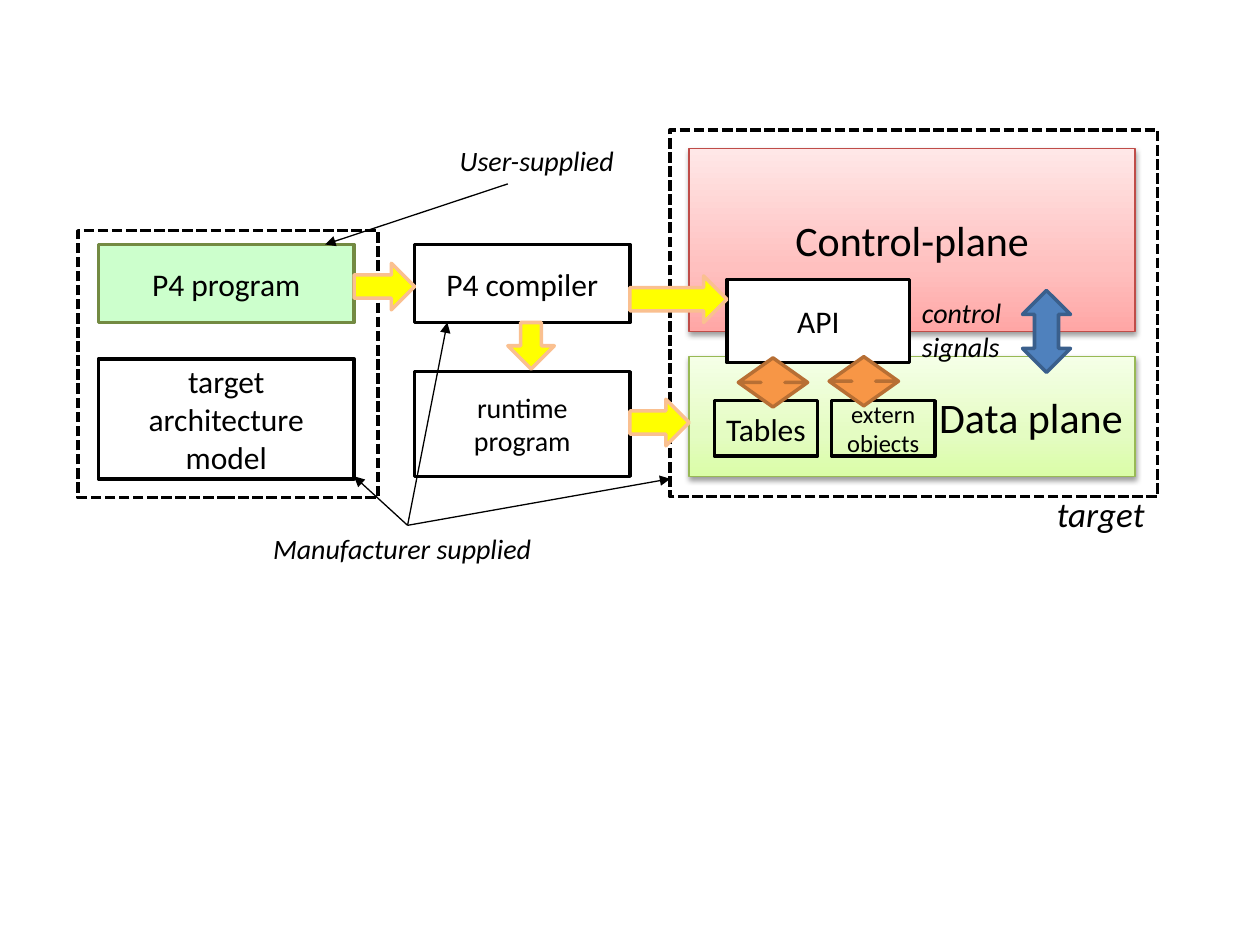
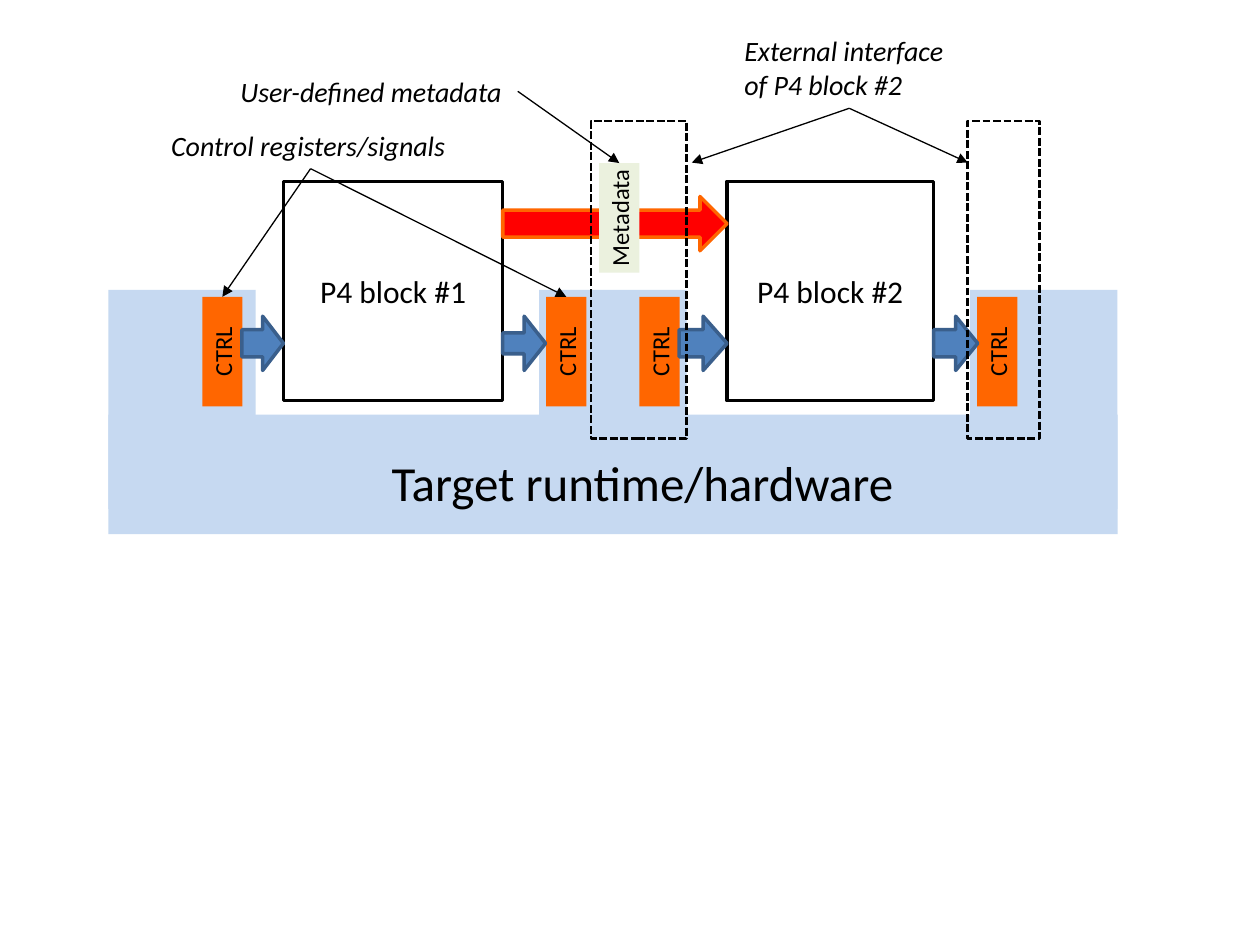
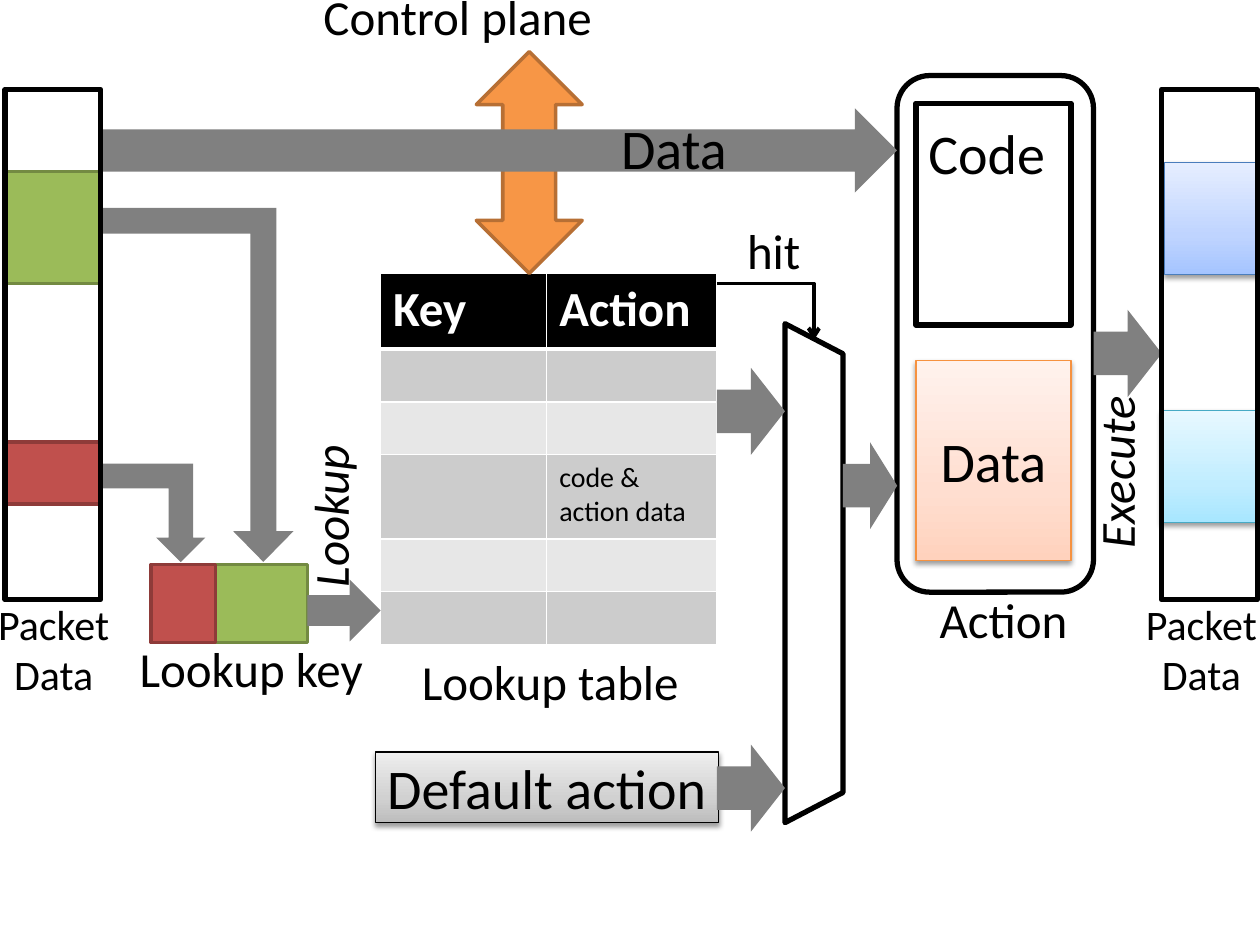
from lxml import etree
from pptx import Presentation
from pptx.dml.color import RGBColor
from pptx.enum.dml import MSO_LINE
from pptx.enum.shapes import MSO_CONNECTOR, MSO_SHAPE
from pptx.enum.text import MSO_ANCHOR, MSO_AUTO_SIZE, PP_ALIGN
from pptx.oxml.ns import qn
from pptx.util import Pt

RECT = MSO_SHAPE.RECTANGLE
ROUND = MSO_SHAPE.ROUNDED_RECTANGLE
TRAPEZOID = MSO_SHAPE.TRAPEZOID
RIGHT = MSO_SHAPE.RIGHT_ARROW
DOWN = MSO_SHAPE.DOWN_ARROW
UP_DOWN = MSO_SHAPE.UP_DOWN_ARROW
BENT_UP = MSO_SHAPE.BENT_UP_ARROW
STRAIGHT, ELBOW = MSO_CONNECTOR.STRAIGHT, MSO_CONNECTOR.ELBOW
DASH = MSO_LINE.SQUARE_DOT
LEFT, CENTER, FLUSH_RIGHT = PP_ALIGN.LEFT, PP_ALIGN.CENTER, PP_ALIGN.RIGHT
TOP, MIDDLE = MSO_ANCHOR.TOP, MSO_ANCHOR.MIDDLE
GROW = MSO_AUTO_SIZE.SHAPE_TO_FIT_TEXT

FONT = "Calibri"
BLACK, WHITE, GRAY = "000000", "FFFFFF", "808080"
BLUE, BLUE_EDGE = "4F81BD", "3A5F8C"
ORANGE, ORANGE_EDGE = "F79646", "B76F34"
GRADIENT_STOPS = (0, 35, 100)

STYLES = {
    "block": dict(line=BLACK),
    "user block": dict(fill="CCFFCC", line="738A42"),
    "opaque": dict(fill=WHITE, line=BLACK),
    "dashed": dict(line=BLACK, dash=DASH),
    "thin dashed": dict(line=BLACK, dash=DASH, width=1.5),
    "frame": dict(line=BLACK, width=3),
    "round frame": dict(geometry=ROUND, line=BLACK, width=3),
    "selector": dict(geometry=TRAPEZOID, line=BLACK, width=3, turn=90, adjust=(0.52,)),
    "label": dict(label=True),
    "remark": dict(label=True, italic=True, size=16),
    "title": dict(label=True, size=28),
    "sideways": dict(label=True, size=28, italic=True, turn=270),
    "yellow right": dict(geometry=RIGHT, fill="FFFF00", line="FAC090"),
    "yellow down": dict(geometry=DOWN, fill="FFFF00", line="FAC090", adjust=(0.447, 0.5)),
    "blue right": dict(geometry=RIGHT, fill=BLUE, line=BLUE_EDGE),
    "blue both": dict(geometry=UP_DOWN, fill=BLUE, line=BLUE_EDGE),
    "orange both": dict(geometry=UP_DOWN, fill=ORANGE, line=ORANGE_EDGE),
    "red right": dict(geometry=RIGHT, fill="FF0000", line="FF6600"),
    "gray right": dict(geometry=RIGHT, fill=GRAY),
    "gray bent": dict(geometry=BENT_UP, fill=GRAY, flip=True),
    "runtime": dict(fill="C6D9F1"),
    "control": dict(fill="FF6600", size=14, turn=270),
    "metadata": dict(fill="EBF1DE", size=14, turn=270, wrap=False),
    "green field": dict(fill="9BBB59", line="738A42"),
    "red field": dict(fill="C0504D", line="8E3B39"),
    "red plane": dict(gradient=("FFA6A5", "FFC0BF", "FFE7E7"), line="BF4C48"),
    "green plane": dict(gradient=("DAFDA7", "E4FCC2", "F5FFE7"), line="98B955"),
    "orange data": dict(gradient=("FFD2BD", "FFDED0", "FFF2ED"), line="F69240"),
    "blue field": dict(gradient=("A4C4FF", "BFD4FF", "E6EEFF"), line="4B7EBC"),
    "cyan field": dict(gradient=("A7E6FF", "C1EDFF", "E7F8FF"), line="46AAC5"),
    "gray action": dict(gradient=("BDBDBD", "D1D1D1", "EEEEEE"), line=BLACK),
}

COMPILE_PARTS = [
    ("user block", (56.2, 139.7, 146.2, 44.6), "P4 program"),
    ("block", (56.2, 205.2, 146.2, 68.4), "target\varchitecture\nmodel"),
    ("green plane", (393.8, 203.8, 254.9, 68.4), "Data plane",
     dict(size=24, align=FLUSH_RIGHT)),
    ("block", (236.9, 139.7, 123.1, 44.6), "P4 compiler"),
    ("block", (408.2, 229, 59, 31.7), "Tables", dict(wrap=False)),
    ("block", (236.9, 212.4, 123.1, 59.8), "runtime\nprogram", dict(size=16)),
    ("yellow down", (290.2, 184.3, 26.6, 26.6)),
    ("red plane", (393.8, 85, 254.9, 104.4), "Control-plane", dict(size=24)),
    ("blue both", (584.3, 166, 27.4, 46.8)),
    ("dashed", (44.6, 131.8, 171.4, 152.6)),
    ("dashed", (383, 74.2, 278.6, 209.5)),
    ("remark", (596.9, 277.9, 64.8, 31.7), "target", dict(size=20)),
    ("remark", (255.6, 78.5, 108, 26.6), "User-supplied"),
    ("opaque", (415.4, 159.8, 104.4, 47.5), "API"),
    ("yellow right", (360, 228.2, 33.8, 26.6)),
    ("yellow right", (360, 157.7, 55.4, 26.6)),
    ("remark", (149, 300.2, 167.8, 26.6), "Manufacturer supplied"),
    ("remark", (519.8, 165.6, 64.8, 46.1), "control\nsignals"),
    ("yellow right", (202.3, 150.5, 34.6, 26.6)),
    ("orange both", (421.9, 204.5, 39.6, 28.1), "", dict(adjust=(0.5, 0.343))),
    ("block", (475.2, 229, 59, 31.7), "extern\vobjects", dict(size=14, wrap=False)),
    ("orange both", (473.8, 203.8, 39.6, 28.1), "", dict(adjust=(0.5, 0.343))),
]
MANUFACTURER = (232.9, 300.2)
COMPILE_ARROWS = [
    ((290.2, 105.1), (185.8, 139.7)),
    (MANUFACTURER, (202.3, 272.2)),
    (MANUFACTURER, (255.6, 184.3)),
    (MANUFACTURER, (383, 273.6)),
]

INTERFACE_PARTS = [
    ("runtime", (61.9, 236.9, 576.7, 68.4)),
    *[("runtime", (61.9 + 246.25 * i, 165.6, 84.2, 125.3)) for i in range(3)],
    ("block", (162, 103.7, 125.3, 125.3), "P4 block #1"),
    *[("control", (x, 169.6, 23, 62.6), "CTRL") for x in (115.6, 312.1, 365.4, 558.4)],
    ("block", (415.4, 103.7, 118.1, 125.3), "P4 block #2"),
    ("blue right", (287.3, 180.7, 24.5, 31), "", dict(adjust=(0.384, 0.5))),
    *[("blue right", (x, 180.7, width, 31))
      for x, width in ((138.2, 23.8), (388.1, 27.4), (533.5, 25.2))],
    ("red right", (287.3, 112.3, 128.2, 31)),
    ("title", (216.7, 254.9, 304.6, 41), "Target runtime/hardware"),
    ("metadata", (342.4, 93.2, 23, 62.6), "Metadata"),
    ("remark", (90.7, 69.8, 173.5, 26.6), "Control registers/signals"),
    ("remark", (130.3, 38.9, 165.6, 26.6), "User-defined metadata"),
    ("remark", (418.3, 15.8, 133.9, 46.1), "External interface\vof P4 block #2"),
    ("thin dashed", (337.7, 69.1, 54.7, 181.4)),
    ("thin dashed", (553, 69.1, 41, 181.4)),
]
SIGNALS, EXTERNAL = (177.5, 96.4), (485.3, 61.9)
INTERFACE_ARROWS = [
    ((295.9, 52.2), (353.9, 93.2)),
    (SIGNALS, (323.6, 169.6)),
    (SIGNALS, (127.1, 169.6)),
    (EXTERNAL, (395.3, 92.9)),
    (EXTERNAL, (553, 92.9)),
]

LOOKUP_PARTS = [
    ("orange both", (272.2, 29.5, 60.5, 126.7)),
    ("green field", (2.9, 97.9, 54.7, 64.1)),
    ("red field", (2.9, 252.7, 54.7, 35.3)),
    ("gray bent", (57.6, 118.8, 110.2, 202.3), "", dict(adjust=(0.134, 0.157, 0.16))),
    ("gray bent", (57.6, 265, 59.8, 56.2)),
    ("title", (234, 368.6, 163.4, 41), "Lookup table", dict(fill=WHITE)),
    ("green field", (122.4, 322.6, 53.3, 44.6)),
    ("red field", (86.4, 322.6, 36.7, 44.6)),
    *[("label", (x, 338.4, 78.5, 65.5), "Packet\vData", dict(size=24, align=CENTER))
      for x in (-8.6, 647.3)],
    ("gray right", (175.7, 331.2, 41.8, 35.3)),
    ("sideways", (167.8, 238.3, 41, 104.4), "Lookup"),
    ("round frame", (512.6, 43.2, 112.3, 295.2)),
    ("title", (72.7, 361.4, 144.7, 41), "Lookup key"),
    ("title", (529.9, 333.4, 88.6, 41), "Action"),
    ("gray right", (57.6, 61.9, 455, 48.2)),
    ("orange data", (523.4, 205.9, 88.6, 114.5), "Data", dict(size=32, wrap=False)),
    ("label", (523.4, 64.1, 82.1, 46.1), "Code", dict(size=32)),
    ("gray right", (625, 177.1, 38.9, 49.7)),
    ("blue field", (665.3, 92.9, 53.3, 64.1)),
    ("cyan field", (663.8, 234.7, 54.7, 64.1)),
    ("sideways", (617, 210.2, 41, 110.2), "Execute"),
    *[("frame", (x, 51.1, 54.7, 291.6)) for x in (2.9, 663.8)],
    ("title", (177.8, -11.5, 170.6, 41), "Control plane"),
    ("frame", (523.4, 59, 88.6, 126.7)),
    ("gray action", (214.6, 429.8, 195.8, 40.3), "Default action",
     dict(size=32, wrap=False)),
    ("selector", (448.6, 185, 33.1, 285.1)),
    *[("gray right", (409.7, y, 38.9, 49.7)) for y in (210.2, 425.5)],
    ("gray right", (481.7, 252.7, 31, 49.7)),
    ("title", (419.8, 122.4, 45.4, 41), "hit"),
    ("label", (347.8, 61.2, 76.3, 46.1), "Data", dict(size=32)),
]
LOOKUP_ARROWS = [
    ((409.7, 162), (465.1, 194.4), dict(route=ELBOW, width=2.25, head="arrow")),
]
LOOKUP_TABLE = dict(
    corner=(217.4, 156.2),
    columns=(95, 97.2),
    heights=(43.2, 30.2, 30.2, 48.2, 30.2, 30.2),
    rows=[("Key", "Action"), ("", ""), ("", ""), ("", "code & action data"), ("", ""), ("", "")],
)

PAGES = [
    (COMPILE_PARTS, COMPILE_ARROWS, None),
    (INTERFACE_PARTS, INTERFACE_ARROWS, None),
    (LOOKUP_PARTS, LOOKUP_ARROWS, LOOKUP_TABLE),
]


def color(value):
    return RGBColor.from_string(value)


def points(values):
    return [Pt(value) for value in values]


def node(parent, tag, **attributes):
    return etree.SubElement(parent, qn(tag), {k: str(v) for k, v in attributes.items()})


def paint(fill, value):
    if value:
        fill.solid()
        fill.fore_color.rgb = color(value)
    else:
        fill.background()


def write(frame, text, size=18, ink=BLACK, bold=False, italic=False, align=LEFT):
    frame.text = text
    for para in frame.paragraphs:
        para.alignment = align
        for span in para.runs:
            span.font.name = FONT
            span.font.size = Pt(size)
            span.font.bold = bold
            span.font.italic = italic
            span.font.color.rgb = color(ink)


def shade(box, colors):
    box.fill.gradient()
    box.fill.gradient_angle = 90
    properties = box._element.spPr
    stops = properties.find(qn("a:gradFill")).find(qn("a:gsLst"))
    for stop in list(stops):
        stops.remove(stop)
    for place, value in zip(GRADIENT_STOPS, colors):
        node(node(stops, "a:gs", pos=place * 1000), "a:srgbClr", val=value)
    shadow = node(properties.find(qn("a:effectLst")), "a:outerShdw", blurRad=Pt(3.1),
                  dist=Pt(1.6), dir=5400000, rotWithShape=0)
    node(node(shadow, "a:srgbClr", val=BLACK), "a:alpha", val=38000)


def draw(page, area, text="", label=False, geometry=RECT, fill=None, gradient=None, line=None,
         width=2, dash=None, turn=0, flip=False, adjust=(), wrap=True, align=None, **font):
    x, y, wide, high = area
    if turn:
        x, y, wide, high = x + (wide - high) / 2, y + (high - wide) / 2, high, wide
    place = points((x, y, wide, high))
    if label:
        box = page.shapes.add_textbox(*place)
    else:
        box = page.shapes.add_shape(geometry, *place)
        box.shadow.inherit = False
        for index, value in enumerate(adjust):
            box.adjustments[index] = value
    box.rotation = turn
    if flip:
        box._element.spPr.find(qn("a:xfrm")).set("flipV", "1")
    paint(box.fill, fill)
    if gradient:
        shade(box, gradient)
    paint(box.line.fill, line)
    if line:
        box.line.width = Pt(0.75 if gradient else width)
    if dash:
        box.line.dash_style = dash
    if text:
        frame = box.text_frame
        frame.word_wrap = wrap and not label
        frame.vertical_anchor = TOP if label else MIDDLE
        if label:
            frame.auto_size = GROW
        write(frame, text, align=align or (LEFT if label else CENTER), **font)
    return box


def find_joint(placed, point):
    for box, (x, y, wide, high), turn in placed:
        middles = [(x + wide / 2, y), (x, y + high / 2),
                   (x + wide / 2, y + high), (x + wide, y + high / 2)]
        for side, (middle_x, middle_y) in enumerate(middles):
            if max(abs(middle_x - point[0]), abs(middle_y - point[1])) < 1:
                return box, (side - turn // 270) % 4
    return None


def connect(page, placed, start, end, route=STRAIGHT, width=0.75, head="triangle"):
    link = page.shapes.add_connector(route, *points(start + end))
    link.line.color.rgb = color(BLACK)
    link.line.width = Pt(width)
    properties = link._element.spPr
    node(properties.find(qn("a:ln")), "a:tailEnd", type=head)
    node(properties, "a:effectLst")
    if route == ELBOW:
        properties.find(qn("a:prstGeom")).set("prst", "bentConnector2")
        return
    for point, join in ((start, link.begin_connect), (end, link.end_connect)):
        joint = find_joint(placed, point)
        if joint:
            join(*joint)
    link.begin_x, link.begin_y = points(start)
    link.end_x, link.end_y = points(end)


def add_grid(page, corner, columns, heights, rows):
    size = points((sum(columns), sum(heights)))
    grid = page.shapes.add_table(len(rows), len(columns), *points(corner), *size).table
    for column, width in zip(grid.columns, columns):
        column.width = Pt(width)
    for r, (height, texts) in enumerate(zip(heights, rows)):
        grid.rows[r].height = Pt(height)
        header = r == 0
        for c, text in enumerate(texts):
            cell = grid.cell(r, c)
            properties = cell._tc.get_or_add_tcPr()
            for side in "LRTB":
                thick = (header and side == "B") or (r == 1 and side == "T")
                border = node(properties, "a:ln" + side, w=Pt(3 if thick else 1))
                node(node(border, "a:solidFill"), "a:srgbClr", val=WHITE)
            paint(cell.fill, BLACK if header else ("E7E7E7", "CCCCCC")[r % 2])
            if text:
                write(cell.text_frame, text, size=28 if header else 16,
                      ink=WHITE if header else BLACK, bold=header)


def build_page(deck, parts, arrows, table):
    page = deck.slides.add_slide(deck.slide_layouts[6])
    if table:
        add_grid(page, **table)
    placed = []
    for style, area, *rest in parts:
        text = rest[0] if rest else ""
        settings = {**STYLES[style], **(rest[1] if len(rest) > 1 else {})}
        box = draw(page, area, text, **settings)
        if settings.get("geometry", RECT) == RECT:
            placed.append((box, area, settings.get("turn", 0)))
    for start, end, *rest in arrows:
        connect(page, placed, start, end, **(rest[0] if rest else {}))


def main():
    deck = Presentation()
    deck.slide_width, deck.slide_height = points((720, 540))
    for parts, arrows, table in PAGES:
        build_page(deck, parts, arrows, table)
    deck.save("out.pptx")


if __name__ == "__main__":
    main()
